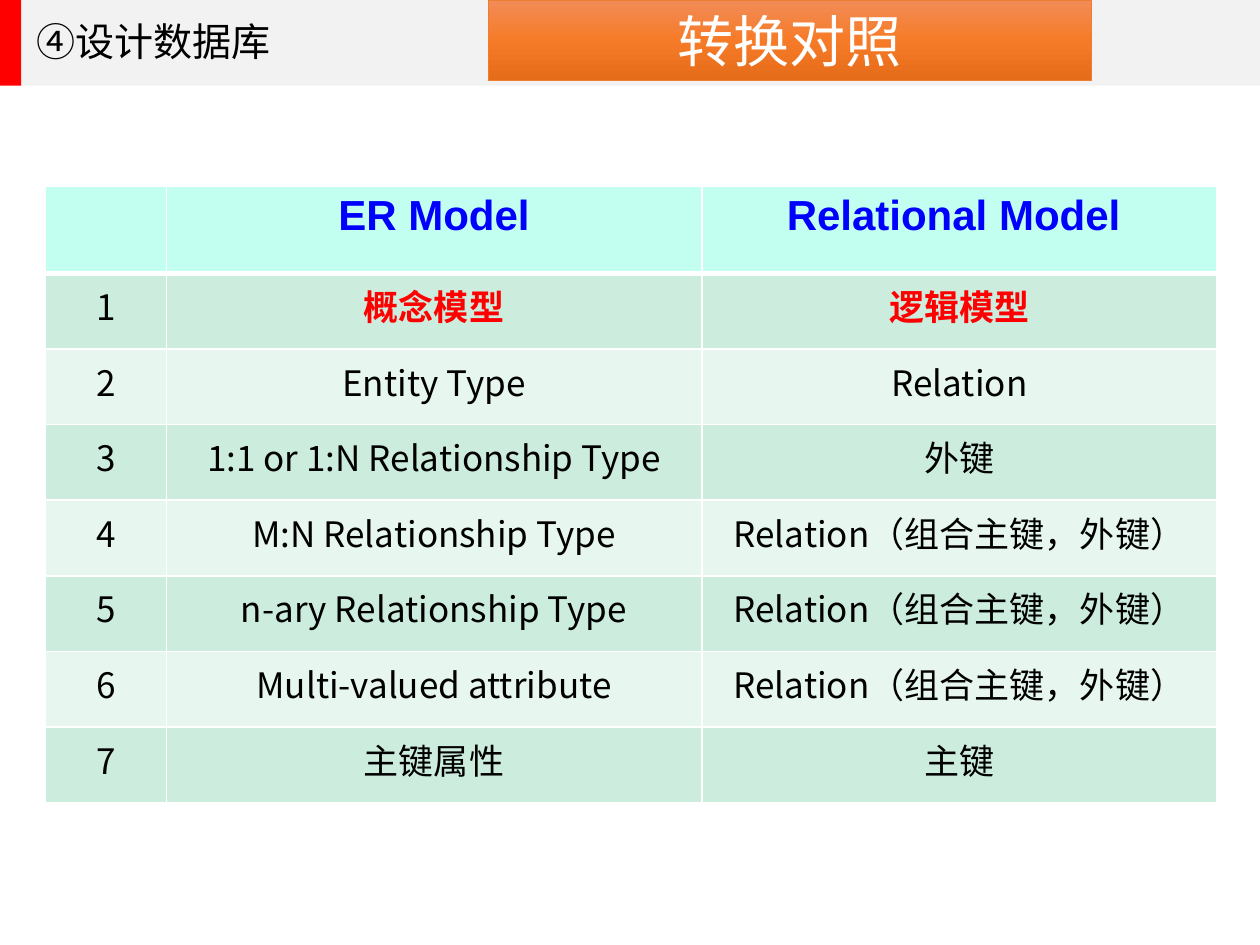
import copy

import pptx
import pptx.dml.color
import pptx.enum.dml
import pptx.enum.shapes
import pptx.enum.text
import pptx.oxml
import pptx.oxml.ns
import pptx.util

Inches = pptx.util.Inches
Pt = pptx.util.Pt
qn = pptx.oxml.ns.qn

COLORS = {
    "red": "FF0000",
    "bar": "F2F2F2",
    "black": "000000",
    "white": "FFFFFF",
    "blue": "0000FF",
    "header": "C2FFF0",
    "odd": "CCECDE",
    "even": "E7F6EF",
    "outline": "ED7D31",
}
BANNER_STOPS = ["F18C57", "F67B28", "E56C19"]
CJK_FONT = "Noto Sans CJK SC"
KEYED_RELATION = "Relation（组合主键，外键）"
ROWS = [
    ("", "ER Model", "Relational Model "),
    ("1", "概念模型", "逻辑模型"),
    ("2", "Entity Type", "Relation"),
    ("3", "1:1 or 1:N Relationship Type", "外键"),
    ("4", "M:N Relationship Type", KEYED_RELATION),
    ("5", "n-ary Relationship Type", KEYED_RELATION),
    ("6", "Multi-valued attribute", KEYED_RELATION),
    ("7", "主键属性", "主键"),
]
COLUMN_WIDTHS = [0.96, 4.25, 4.09]


def rgb(value):
    return pptx.dml.color.RGBColor.from_string(value)


def write_text(frame, text, size, font, color, bold=False, centered=True):
    frame.text = text
    paragraph = frame.paragraphs[0]
    if centered:
        paragraph.alignment = pptx.enum.text.PP_ALIGN.CENTER
    for span in paragraph.runs:
        span.font.size = Pt(size)
        span.font.name = font
        span.font.bold = bold
        span.font.color.rgb = rgb(COLORS[color])
        east_asian = pptx.oxml.parse_xml(
            f'<a:ea {pptx.oxml.ns.nsdecls("a")} typeface="{CJK_FONT}"/>')
        span.font._element.find(qn("a:latin")).addnext(east_asian)
    return paragraph


def add_rectangle(page, left, top, width, height):
    shape = page.shapes.add_shape(
        pptx.enum.shapes.MSO_SHAPE.RECTANGLE,
        Inches(left), Inches(top), Inches(width), Inches(height))
    shape.shadow.inherit = False
    return shape


def add_bar(page, left, width, color):
    bar = add_rectangle(page, left, 0, width, 0.68)
    bar.fill.solid()
    bar.fill.fore_color.rgb = rgb(COLORS[color])
    bar.line.fill.background()


def add_section_title(page):
    box = page.shapes.add_textbox(
        Inches(0.19), Inches(0.18), Inches(7.37), Inches(0.38))
    frame = box.text_frame
    frame.word_wrap = True
    frame.vertical_anchor = pptx.enum.text.MSO_ANCHOR.MIDDLE
    paragraph = write_text(
        frame, "④设计数据库", 22.3, "Calibri", "black", centered=False)
    paragraph.line_spacing = 0.7


def add_banner(page):
    banner = add_rectangle(page, 3.88, 0, 4.78, 0.64)
    banner.fill.gradient()
    banner.fill.gradient_angle = 270
    first = banner._element.spPr.find(".//" + qn("a:gs"))
    first.addnext(copy.deepcopy(first))
    stops = banner.fill.gradient_stops
    for index, (stop, color) in enumerate(zip(stops, BANNER_STOPS)):
        stop.position = index / 2
        stop.color.rgb = rgb(color)
    banner.line.color.rgb = rgb(COLORS["outline"])
    banner.line.width = Pt(0.5)
    banner.text_frame.vertical_anchor = pptx.enum.text.MSO_ANCHOR.MIDDLE
    write_text(banner.text_frame, "转换对照", 32, "Calibri", "white")


def set_borders(cell, row):
    properties = cell._tc.get_or_add_tcPr()
    widths = {"L": 1, "R": 1, "T": 3 if row == 1 else 1, "B": 3 if row == 0 else 1}
    for side, width in widths.items():
        properties.append(pptx.oxml.parse_xml(
            f'<a:ln{side} {pptx.oxml.ns.nsdecls("a")} w="{Pt(width)}">'
            f'<a:solidFill><a:srgbClr val="{COLORS["white"]}"/></a:solidFill>'
            f'</a:ln{side}>'))


def fill_cell(cell, row, column, text):
    set_borders(cell, row)
    band = "header" if row == 0 else "odd" if row % 2 else "even"
    cell.fill.solid()
    cell.fill.fore_color.rgb = rgb(COLORS[band])
    if row == 0:
        write_text(cell.text_frame, text, 24, "Arial", "blue", bold=True)
    else:
        highlighted = row == 1 and column > 0
        color = "red" if highlighted else "black"
        write_text(cell.text_frame, text, 20, CJK_FONT, color, bold=highlighted)


def add_comparison_table(page):
    table = page.shapes.add_table(
        len(ROWS), len(COLUMN_WIDTHS),
        Inches(0.36), Inches(1.48), Inches(9.3), Inches(4.87)).table
    for column, width in zip(table.columns, COLUMN_WIDTHS):
        column.width = Inches(width)
    for row, texts in enumerate(ROWS):
        table.rows[row].height = Inches(0.6 if row else 0.69)
        for column, text in enumerate(texts):
            fill_cell(table.cell(row, column), row, column, text)


def main():
    deck = pptx.Presentation()
    deck.slide_width = Inches(10)
    deck.slide_height = Inches(7.5)
    page = deck.slides.add_slide(deck.slide_layouts[6])
    add_bar(page, 0, 0.17, "red")
    add_bar(page, 0.17, 9.83, "bar")
    add_section_title(page)
    add_banner(page)
    add_comparison_table(page)
    deck.save("out.pptx")


if __name__ == "__main__":
    main()
